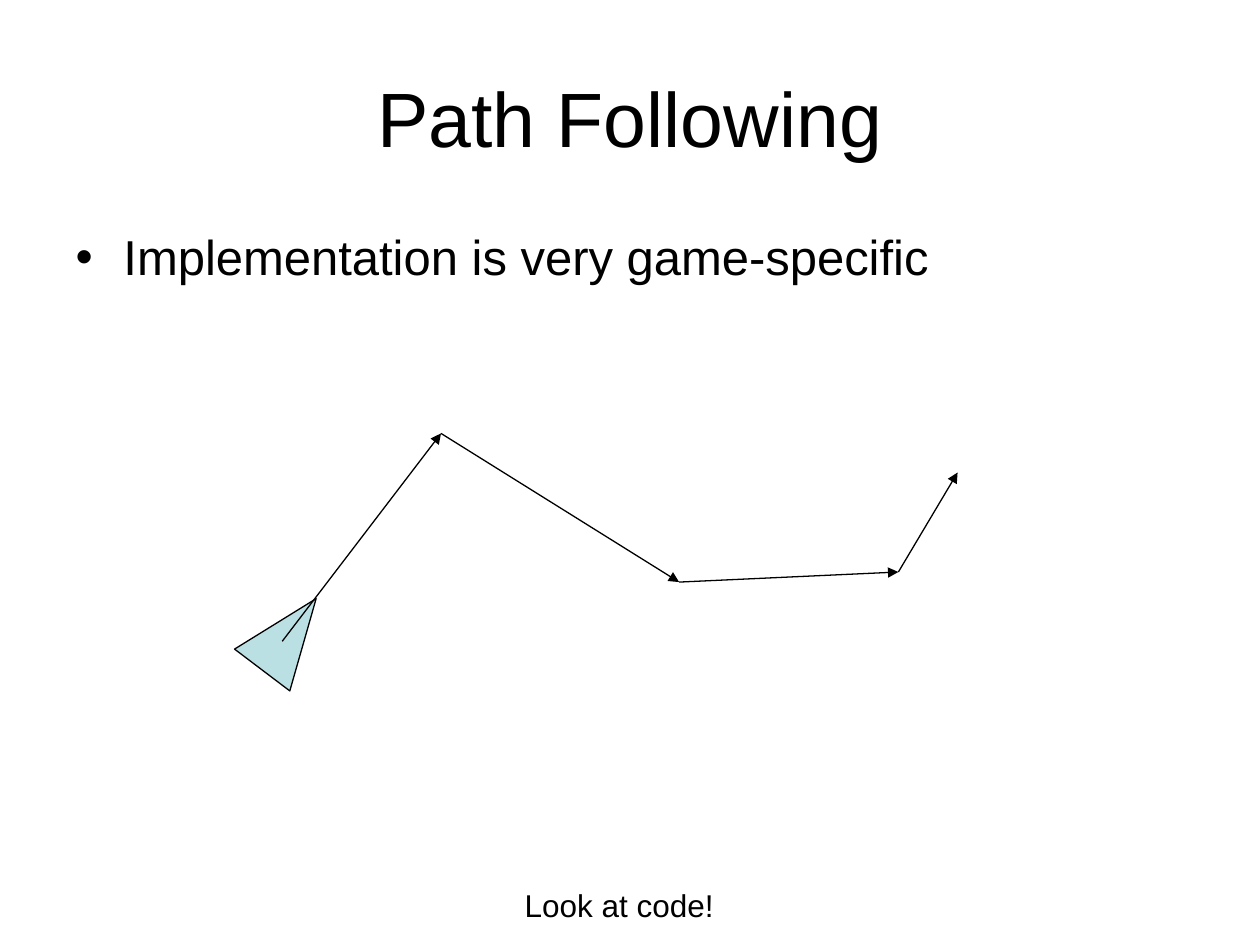
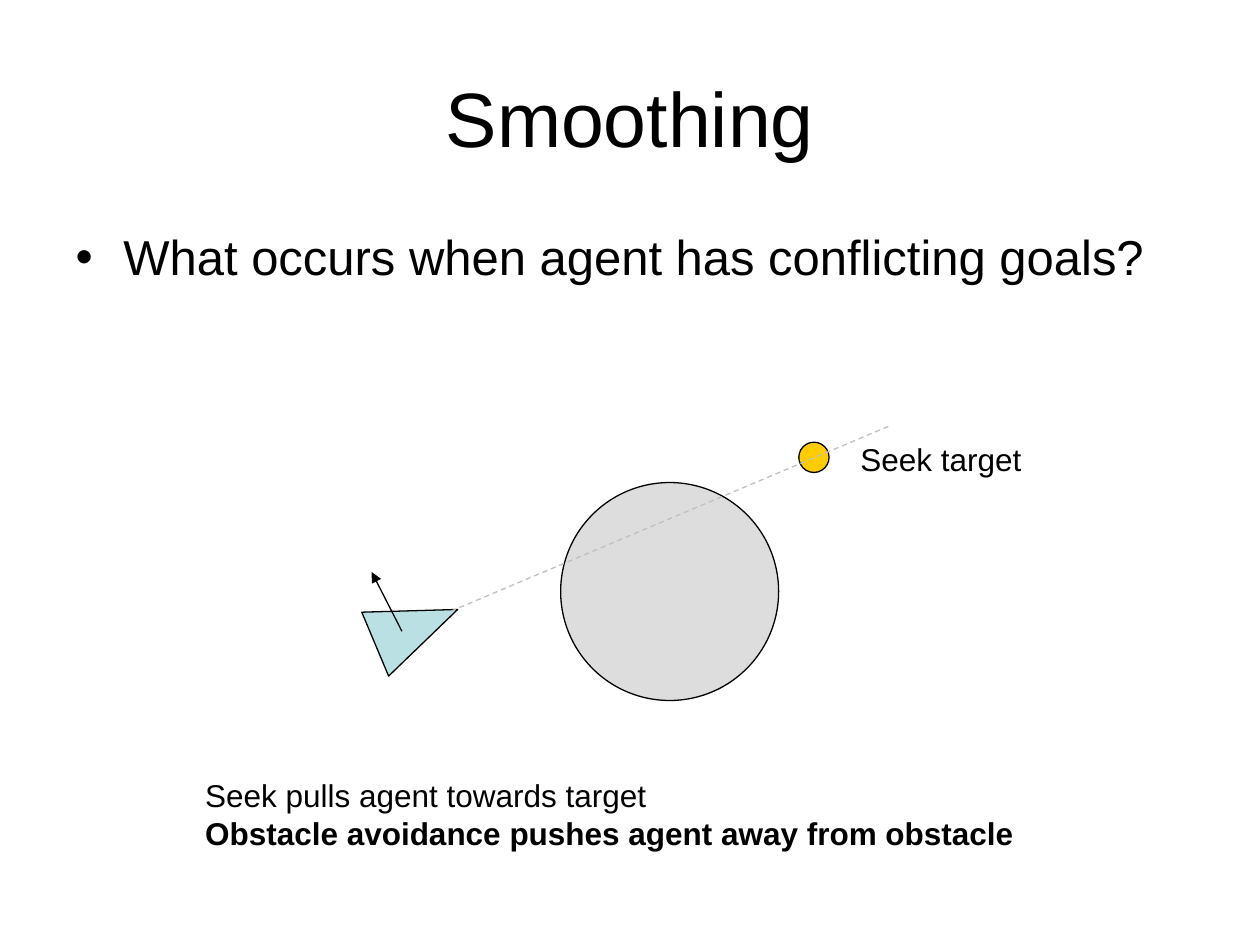
import pptx
import pptx.util
import pptx.dml.color
import pptx.enum.dml
import pptx.enum.shapes
import pptx.enum.text
import pptx.oxml.ns
import lxml.etree

Inches, Pt = pptx.util.Inches, pptx.util.Pt
RGBColor = pptx.dml.color.RGBColor
SHAPE = pptx.enum.shapes.MSO_SHAPE
ALIGN = pptx.enum.text.PP_ALIGN
ANCHOR = pptx.enum.text.MSO_ANCHOR
qn = pptx.oxml.ns.qn

# Shared style
FONT = "Arial"
BLACK = RGBColor(0x00, 0x00, 0x00)
AGENT = RGBColor(0xBB, 0xE0, 0xE3)
TARGET = RGBColor(0xFF, 0xCC, 0x00)
OBSTACLE = RGBColor(0xDD, 0xDD, 0xDD)
SIGHT = RGBColor(0xC0, 0xC0, 0xC0)
LINE_WIDTH = Pt(0.75)
TITLE_BOX = (0.5, 0.3, 9, 1.25)
BODY_BOX = (0.5, 1.75, 9, 4.95)
AGENT_SIZE = (0.55, 0.71)
INDENT = 0.38

# Content: boxes are left, top, width, height; captions list (text, bold) lines
FOLLOWING = {
    "title": "Path Following",
    "bullet": "Implementation is very game-specific",
    "agent": (2.02, 4.68, 37.1),
    "waypoints": [(2.24, 5.09), (3.5, 3.44), (5.39, 4.62), (7.13, 4.54), (7.6, 3.75)],
    "caption": ((0.35, 6.98, 9.13, 0.4), [("Look at code!", False)]),
}
SMOOTHING = {
    "title": "Smoothing",
    "bullet": "What occurs when agent has conflicting goals?",
    "target": (6.34, 3.51, 0.24, 0.24),
    "obstacle": (4.45, 3.83, 1.73, 1.73),
    "label": ((6.73, 3.44, 1.57, 0.4), [("Seek target", False)]),
    "agent": (3.03, 4.62, 67.2),
    "sight": ((3.58, 4.85), (7.06, 3.38)),
    "push": ((3.19, 5.01), (2.95, 4.54)),
    "caption": ((1.53, 6.11, 7.24, 0.7), [
        ("Seek pulls agent towards target", False),
        ("Obstacle avoidance pushes agent away from obstacle", True),
    ]),
}


def inches(values):
    return [Inches(v) for v in values]


def add_run(p, text, size, bold=False):
    r = p.add_run()
    r.text = text
    r.font.name = FONT
    r.font.size = Pt(size)
    r.font.bold = bold
    r.font.color.rgb = BLACK


def fill_placeholder(sp, box, text, size, align, anchor):
    sp.left, sp.top, sp.width, sp.height = inches(box)
    tf = sp.text_frame
    tf.auto_size = pptx.enum.text.MSO_AUTO_SIZE.NONE
    tf.vertical_anchor = anchor
    p = tf.paragraphs[0]
    p.alignment = align
    p.space_before = Pt(0)
    add_run(p, text, size)
    return p


def add_bullet(p):
    pPr = p._p.get_or_add_pPr()
    pPr.set("marL", str(Inches(INDENT)))
    pPr.set("indent", str(-Inches(INDENT)))
    lxml.etree.SubElement(pPr, qn("a:buFont")).set("typeface", FONT)
    lxml.etree.SubElement(pPr, qn("a:buChar")).set("char", "•")


def add_slide(prs, content):
    s = prs.slides.add_slide(prs.slide_layouts[1])
    title, body = s.placeholders
    fill_placeholder(title, TITLE_BOX, content["title"], 44, ALIGN.CENTER, ANCHOR.MIDDLE)
    add_bullet(fill_placeholder(body, BODY_BOX, content["bullet"], 28, ALIGN.LEFT, ANCHOR.TOP))
    return s


def add_figure(s, kind, box, color):
    sp = s.shapes.add_shape(kind, *inches(box))
    sp.shadow.inherit = False
    sp.fill.solid()
    sp.fill.fore_color.rgb = color
    sp.line.color.rgb = BLACK
    sp.line.width = LINE_WIDTH
    return sp


def add_agent(s, left, top, rotation):
    add_figure(s, SHAPE.ISOSCELES_TRIANGLE, (left, top, *AGENT_SIZE), AGENT).rotation = rotation


def add_line(s, start, end, color=BLACK):
    sp = s.shapes.add_connector(
        pptx.enum.shapes.MSO_CONNECTOR.STRAIGHT, *inches(start + end))
    sp.line.color.rgb = color
    sp.line.width = LINE_WIDTH
    lxml.etree.SubElement(sp._element.spPr, qn("a:effectLst"))
    return sp


def add_arrow(s, start, end):
    ln = add_line(s, start, end).line._get_or_add_ln()
    lxml.etree.SubElement(ln, qn("a:tailEnd")).set("type", "triangle")


def add_text(s, box, lines, align=ALIGN.LEFT):
    tf = s.shapes.add_textbox(*inches(box)).text_frame
    tf.word_wrap = True
    p = tf.paragraphs[0]
    p.alignment = align
    for i, (text, bold) in enumerate(lines):
        if i:
            p.add_line_break()
        add_run(p, text, 18, bold)


def build_following(prs):
    s = add_slide(prs, FOLLOWING)
    add_agent(s, *FOLLOWING["agent"])
    points = FOLLOWING["waypoints"]
    for start, end in zip(points, points[1:]):
        add_arrow(s, start, end)
    add_text(s, *FOLLOWING["caption"], align=ALIGN.CENTER)


def build_smoothing(prs):
    s = add_slide(prs, SMOOTHING)
    # Target and obstacle
    add_figure(s, SHAPE.OVAL, SMOOTHING["target"], TARGET)
    add_figure(s, SHAPE.OVAL, SMOOTHING["obstacle"], OBSTACLE)
    add_text(s, *SMOOTHING["label"])
    # Agent with its line of sight and the push away
    add_agent(s, *SMOOTHING["agent"])
    sight = add_line(s, *SMOOTHING["sight"], color=SIGHT)
    sight.line.dash_style = pptx.enum.dml.MSO_LINE.DASH
    add_text(s, *SMOOTHING["caption"])
    add_arrow(s, *SMOOTHING["push"])


def main():
    prs = pptx.Presentation()
    prs.slide_width, prs.slide_height = Inches(10), Inches(7.5)
    build_following(prs)
    build_smoothing(prs)
    prs.save("out.pptx")


if __name__ == "__main__":
    main()
